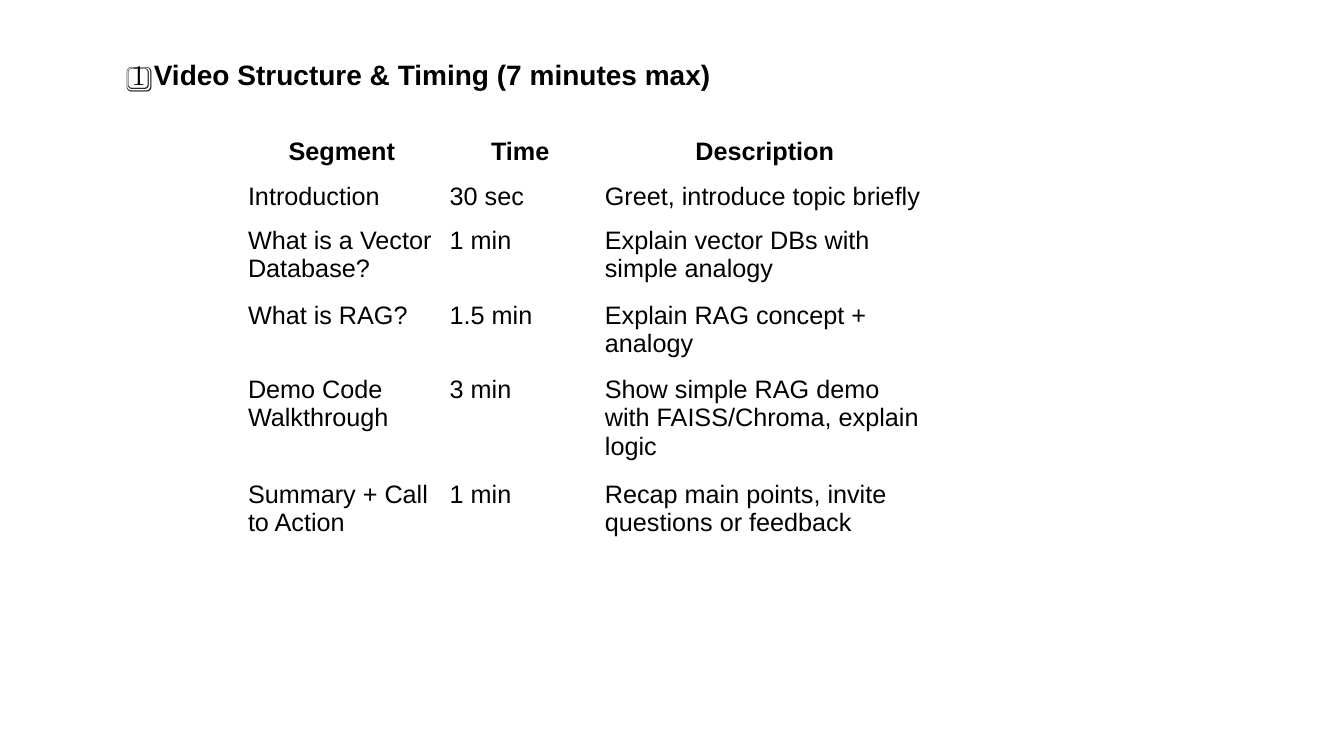
"""Build the slide on video structure and timing."""
from dataclasses import dataclass

from pptx import Presentation
from pptx.dml.color import RGBColor
from pptx.enum.text import MSO_AUTO_SIZE, PP_ALIGN
from pptx.util import Inches, Pt

CENTER, LEFT = PP_ALIGN.CENTER, PP_ALIGN.LEFT
GROW = MSO_AUTO_SIZE.SHAPE_TO_FIT_TEXT
FONT, INK = "Arial", "000000"
PAD = Inches(0.07)
WIDTHS = (2, 1.54, 3.31)


@dataclass
class Row:
    height: float
    texts: tuple[str, str, str]


ROWS = [
    Row(0.44, ("Segment", "Time", "Description")),
    Row(0.44, ("Introduction", "30 sec", "Greet, introduce topic briefly")),
    Row(0.74, ("What is a Vector Database?", "1 min",
               "Explain vector DBs with simple analogy")),
    Row(0.74, ("What is RAG?", "1.5 min", "Explain RAG concept + analogy")),
    Row(1.04, ("Demo Code Walkthrough", "3 min",
               "Show simple RAG demo with FAISS/Chroma, explain logic")),
    Row(0.73, ("Summary + Call to Action", "1 min",
               "Recap main points, invite questions or feedback")),
]


def color(code: str) -> RGBColor:
    return RGBColor.from_string(code)


def write(frame, text: str, size: int, bold: bool, align, after: int) -> None:
    para = frame.paragraphs[0]
    para.text = text
    para.alignment = align
    para.space_after = Pt(after)
    font = para.font
    font.name, font.size, font.bold = FONT, Pt(size), bold
    font.color.rgb = color(INK)


def add_title(slide, text: str) -> None:
    box = slide.shapes.add_textbox(
        Inches(1.21), Inches(0.52), Inches(9.69), Inches(0.44))
    frame = box.text_frame
    frame.word_wrap = True
    frame.auto_size = GROW
    write(frame, text, 20, True, LEFT, 4)


def add_plan(slide, rows: list[Row]) -> None:
    total = sum(row.height for row in rows)
    table = slide.shapes.add_table(
        len(rows), len(WIDTHS), Inches(2.39), Inches(1.3),
        Inches(sum(WIDTHS)), Inches(total)).table
    table.first_row = table.horz_banding = False
    for col, width in zip(table.columns, WIDTHS):
        col.width = Inches(width)
    for i, row in enumerate(rows):
        table.rows[i].height = Inches(row.height)
        head = i == 0
        for j, text in enumerate(row.texts):
            cell = table.cell(i, j)
            cell.fill.background()
            cell.margin_left = cell.margin_right = PAD
            cell.margin_top = cell.margin_bottom = PAD
            write(cell.text_frame, text, 18, head,
                  CENTER if head else LEFT, 12)


def main() -> None:
    deck = Presentation()
    deck.slide_width, deck.slide_height = Inches(13.33), Inches(7.5)
    slide = deck.slides.add_slide(deck.slide_layouts[6])
    add_title(slide, "1️⃣ Video Structure & Timing (7 minutes max)")
    add_plan(slide, ROWS)
    deck.save("out.pptx")


if __name__ == "__main__":
    main()
